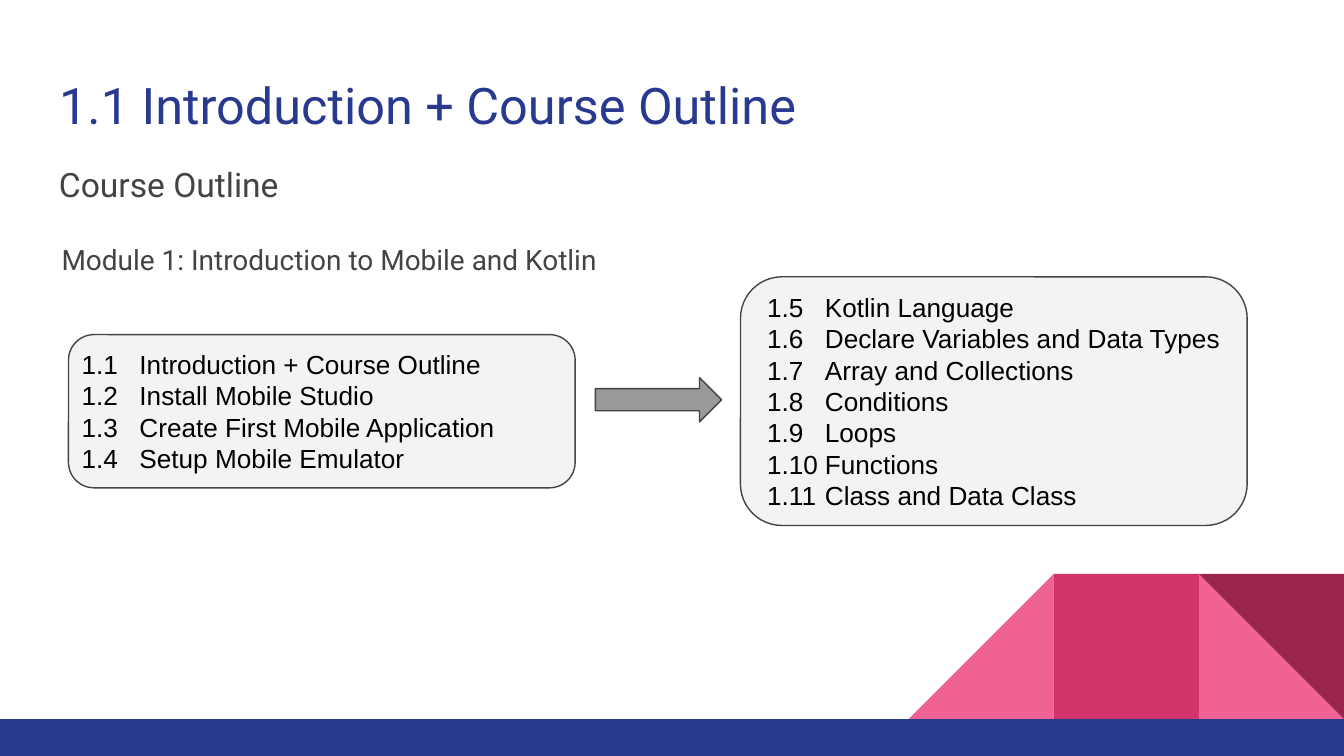
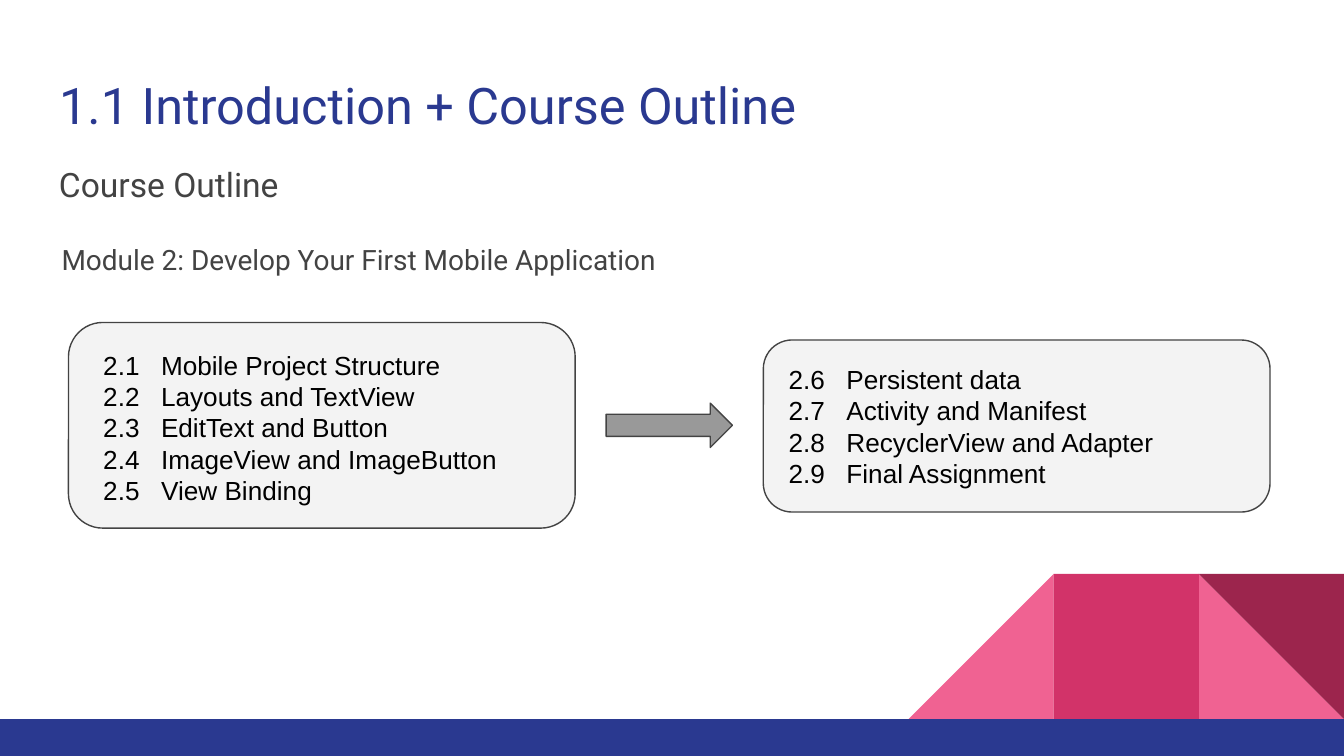
import dataclasses

import lxml.etree
import pptx
import pptx.dml.color
import pptx.enum.shapes
import pptx.enum.text
import pptx.oxml.ns
import pptx.presentation
import pptx.shapes.autoshape
import pptx.slide
import pptx.text.text
import pptx.util

Inches = pptx.util.Inches
Shape = pptx.enum.shapes.MSO_SHAPE

BLUE = "2A3990"
GREY = "434343"
LIGHT_GREY = "F3F3F3"
ARROW_GREY = "999999"
PINK = "F06292"
ROSE = "D23369"
WINE = "9C254D"
BLACK = "000000"

HEADING = "1.1 Introduction + Course Outline"
BAND_TOP = 5.35
TILE = 1.08
NUMBER_WIDTH = 0.43


@dataclasses.dataclass(frozen=True)
class Area:
    left: float
    top: float
    width: float
    height: float

    def lengths(self) -> tuple:
        return tuple(map(Inches, (self.left, self.top, self.width, self.height)))


@dataclasses.dataclass(frozen=True)
class TextStyle:
    font: str
    size: int
    color: str


@dataclasses.dataclass(frozen=True)
class Decoration:
    kind: Shape
    area: Area
    color: str
    rotation: int = 0


@dataclasses.dataclass(frozen=True)
class TopicCard:
    frame: Area
    text_area: Area
    first_number: int
    topics: tuple[str, ...]


@dataclasses.dataclass(frozen=True)
class Module:
    number: int
    name: str
    title_width: float
    arrow_left: float
    arrow_top: float
    cards: tuple[TopicCard, ...]


TITLE_STYLE = TextStyle("Roboto", 27, BLUE)
SUBTITLE_STYLE = TextStyle("Roboto", 18, GREY)
MODULE_STYLE = TextStyle("Roboto", 15, GREY)
TOPIC_STYLE = TextStyle("Arial", 14, BLACK)


def tile(column: int) -> Area:
    return Area(10 - column * TILE, BAND_TOP - TILE, TILE, TILE)


DECORATIONS = (
    Decoration(Shape.RIGHT_TRIANGLE, tile(1), PINK),
    Decoration(Shape.RIGHT_TRIANGLE, tile(3), PINK, 270),
    Decoration(Shape.RECTANGLE, tile(2), ROSE),
    Decoration(Shape.RIGHT_TRIANGLE, tile(1), WINE, 180),
    Decoration(Shape.RECTANGLE, Area(0, BAND_TOP, 10, 0.28), BLUE),
)

MODULES = (
    Module(1, "Introduction to Mobile and Kotlin", 4.83, 4.43, 2.81, (
        TopicCard(Area(0.51, 2.49, 3.77, 1.14), Area(0.51, 2.49, 3.87, 1.14), 1, (
            "Introduction + Course Outline",
            "Install Mobile Studio",
            "Create First Mobile Application",
            "Setup Mobile Emulator",
        )),
        TopicCard(Area(5.51, 2.06, 3.77, 1.85), Area(5.61, 2.06, 3.67, 1.85), 5, (
            "Kotlin Language",
            "Declare Variables and Data Types",
            "Array and Collections",
            "Conditions",
            "Loops",
            "Functions",
            "Class and Data Class",
        )),
    )),
    Module(2, "Develop Your First Mobile Application", 5.71, 4.51, 3, (
        TopicCard(Area(0.51, 2.4, 3.77, 1.53), Area(0.67, 2.49, 3.44, 1.38), 1, (
            "Mobile Project Structure",
            "Layouts and TextView",
            "EditText and Button",
            "ImageView and ImageButton",
            "View Binding",
        )),
        TopicCard(Area(5.68, 2.53, 3.77, 1.28), Area(5.77, 2.6, 3.67, 1.14), 6, (
            "Persistent data",
            "Activity and Manifest",
            "RecyclerView and Adapter",
            "Final Assignment",
        )),
    )),
)


def rgb(color: str) -> pptx.dml.color.RGBColor:
    return pptx.dml.color.RGBColor.from_string(color)


def add_shape(page: pptx.slide.Slide, kind: Shape, area: Area, fill: str,
              outline: str | None = None) -> pptx.shapes.autoshape.Shape:
    shape = page.shapes.add_shape(kind, *area.lengths())
    shape.shadow.inherit = False
    shape.fill.solid()
    shape.fill.fore_color.rgb = rgb(fill)
    if outline:
        shape.line.color.rgb = rgb(outline)
        shape.line.width = pptx.util.Pt(0.75)
    else:
        shape.line.fill.background()
    return shape


def write_text(frame: pptx.text.text.TextFrame, lines: list[str], style: TextStyle,
               tab: float | None = None) -> None:
    frame.word_wrap = True
    frame.auto_size = pptx.enum.text.MSO_AUTO_SIZE.NONE
    frame.vertical_anchor = pptx.enum.text.MSO_ANCHOR.MIDDLE
    frame.margin_left = frame.margin_right = Inches(0.1)
    frame.margin_top = frame.margin_bottom = Inches(0.1)
    for index, line in enumerate(lines):
        para = frame.add_paragraph() if index else frame.paragraphs[0]
        para.text = line
        para.alignment = pptx.enum.text.PP_ALIGN.LEFT
        if tab:
            add_tab_stop(para, tab)
        para.font.name = style.font
        para.font.size = pptx.util.Pt(style.size)
        para.font.color.rgb = rgb(style.color)


def add_tab_stop(para: pptx.text.text._Paragraph, position: float) -> None:
    qualified = pptx.oxml.ns.qn
    tabs = lxml.etree.SubElement(para._p.get_or_add_pPr(), qualified("a:tabLst"))
    lxml.etree.SubElement(tabs, qualified("a:tab"), pos=str(Inches(position)), algn="l")


def add_text(page: pptx.slide.Slide, area: Area, lines: list[str], style: TextStyle,
             tab: float | None = None) -> None:
    box = page.shapes.add_textbox(*area.lengths())
    write_text(box.text_frame, lines, style, tab)


def add_title(page: pptx.slide.Slide) -> None:
    title = page.shapes.title
    title.left, title.top, title.width, title.height = Area(0.34, 0.45, 9.32, 0.66).lengths()
    write_text(title.text_frame, [HEADING], TITLE_STYLE)


def add_card(page: pptx.slide.Slide, module: int, card: TopicCard) -> None:
    frame = add_shape(page, Shape.ROUNDED_RECTANGLE, card.frame, LIGHT_GREY, GREY)
    frame.adjustments[0] = 0.167
    lines = [f"{module}.{number}\t{topic}"
             for number, topic in enumerate(card.topics, card.first_number)]
    add_text(page, card.text_area, lines, TOPIC_STYLE, NUMBER_WIDTH)


def add_module_page(deck: pptx.presentation.Presentation, module: Module) -> None:
    page = deck.slides.add_slide(deck.slide_layouts.get_by_name("Title Only"))
    for part in DECORATIONS:
        shape = add_shape(page, part.kind, part.area, part.color)
        shape.rotation = part.rotation
    add_title(page)
    add_text(page, Area(0.34, 1.11, 1.92, 0.52), ["Course Outline"], SUBTITLE_STYLE)
    add_text(page, Area(0.36, 1.71, module.title_width, 0.44),
             [f"Module {module.number}: {module.name}"], MODULE_STYLE)
    for card in module.cards:
        add_card(page, module.number, card)
    arrow = Area(module.arrow_left, module.arrow_top, 0.94, 0.33)
    add_shape(page, Shape.RIGHT_ARROW, arrow, ARROW_GREY, GREY)


def main() -> None:
    deck = pptx.Presentation()
    deck.slide_width = Inches(10)
    deck.slide_height = Inches(10 * 9 / 16)
    for module in MODULES:
        add_module_page(deck, module)
    deck.save("out.pptx")


if __name__ == "__main__":
    main()
